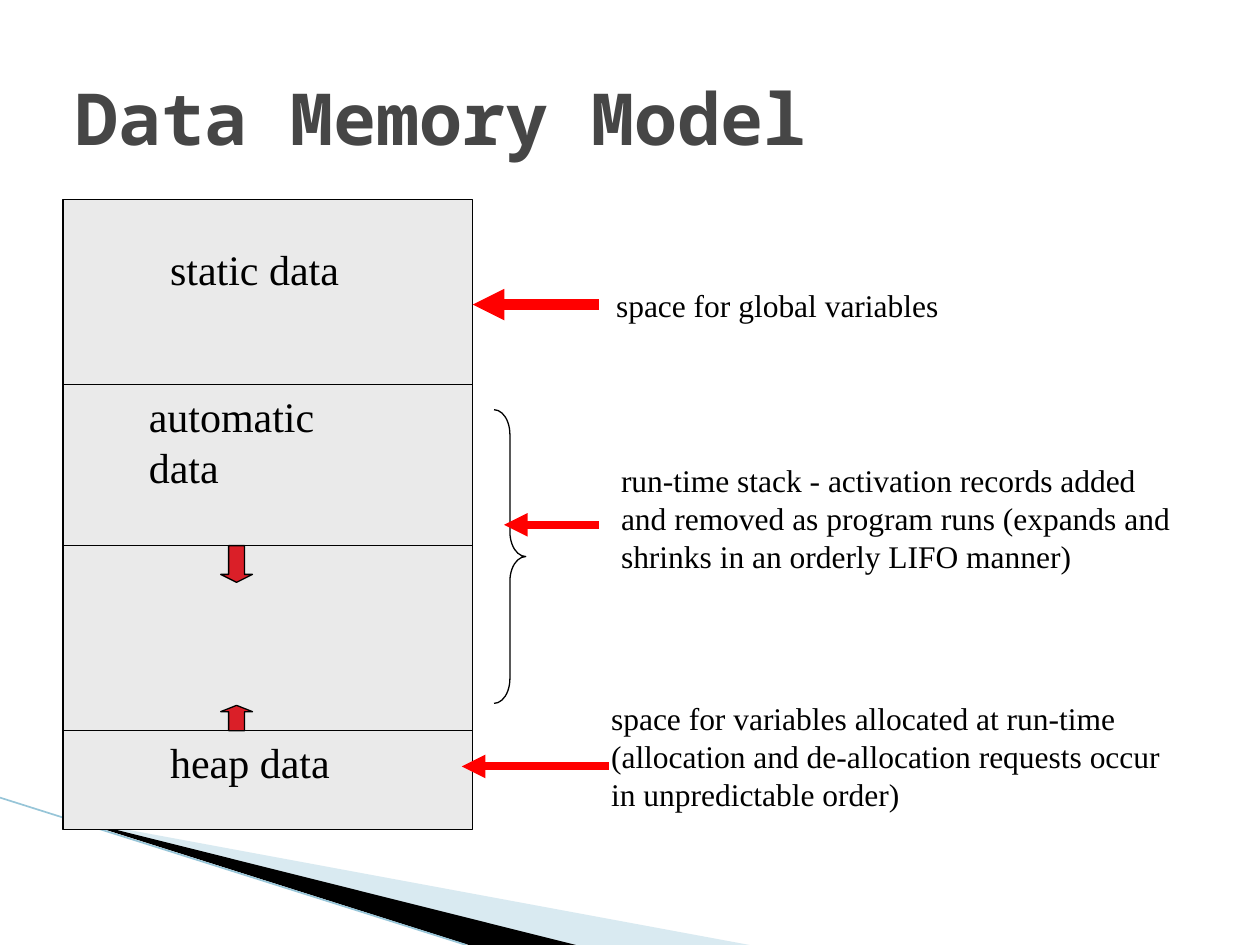
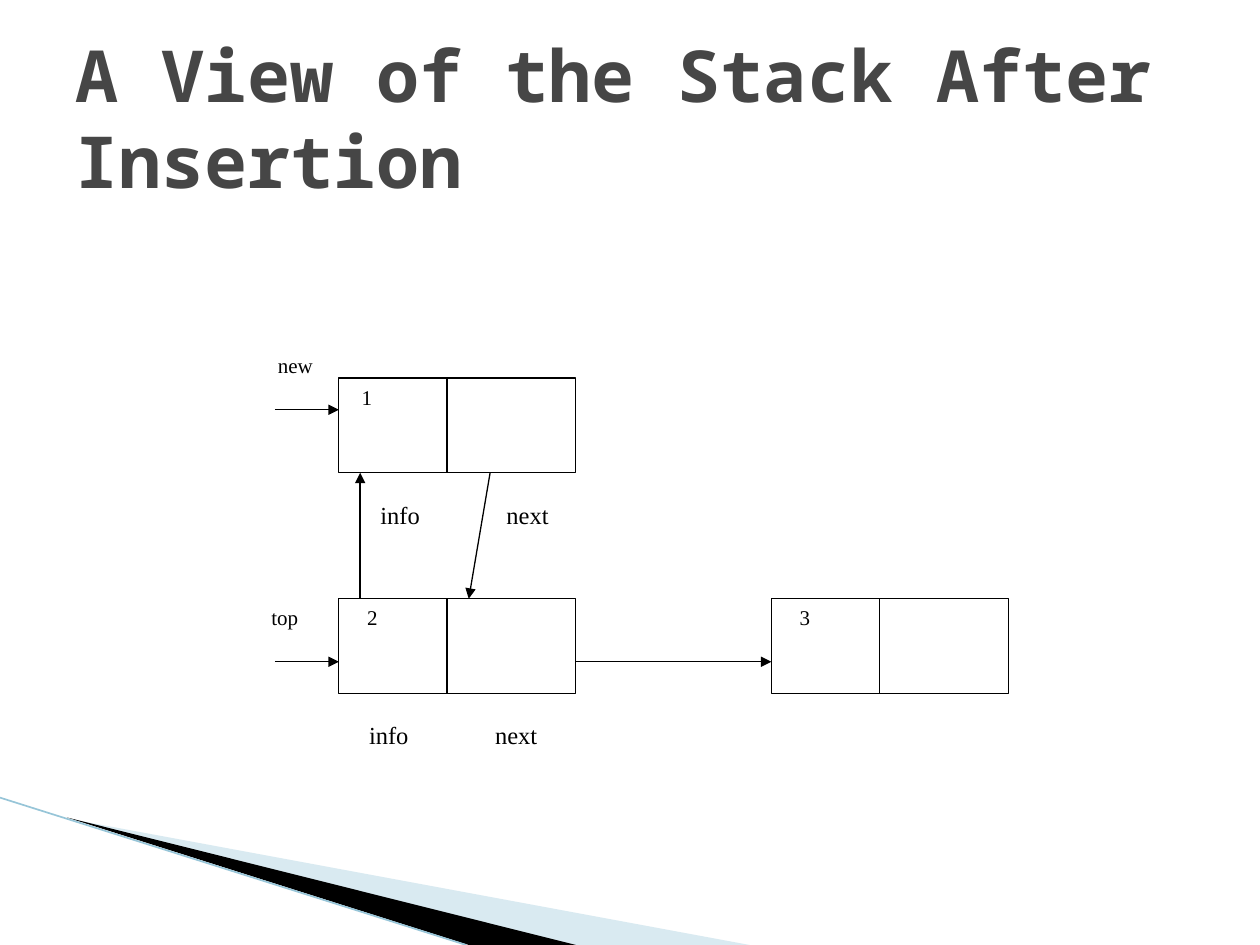
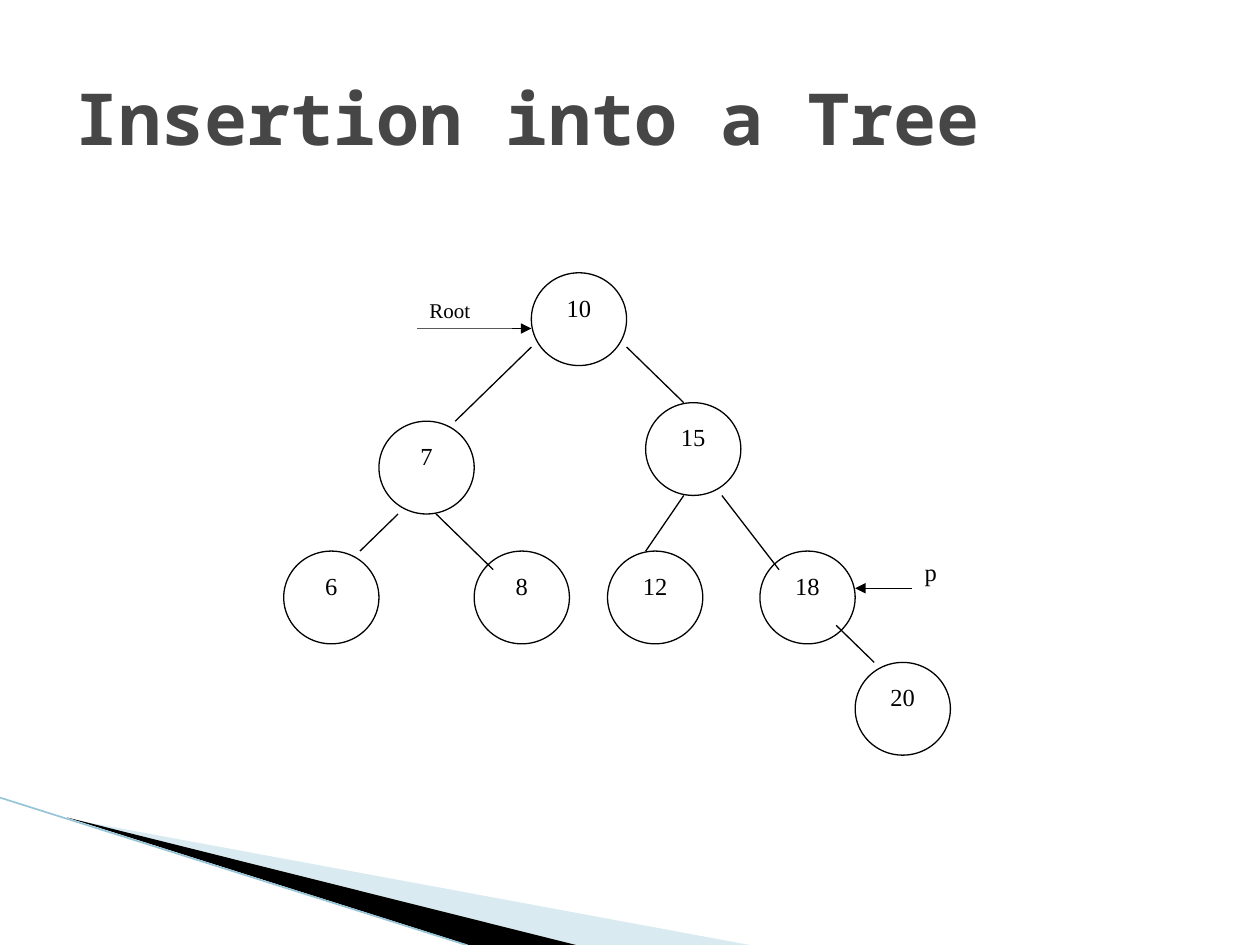
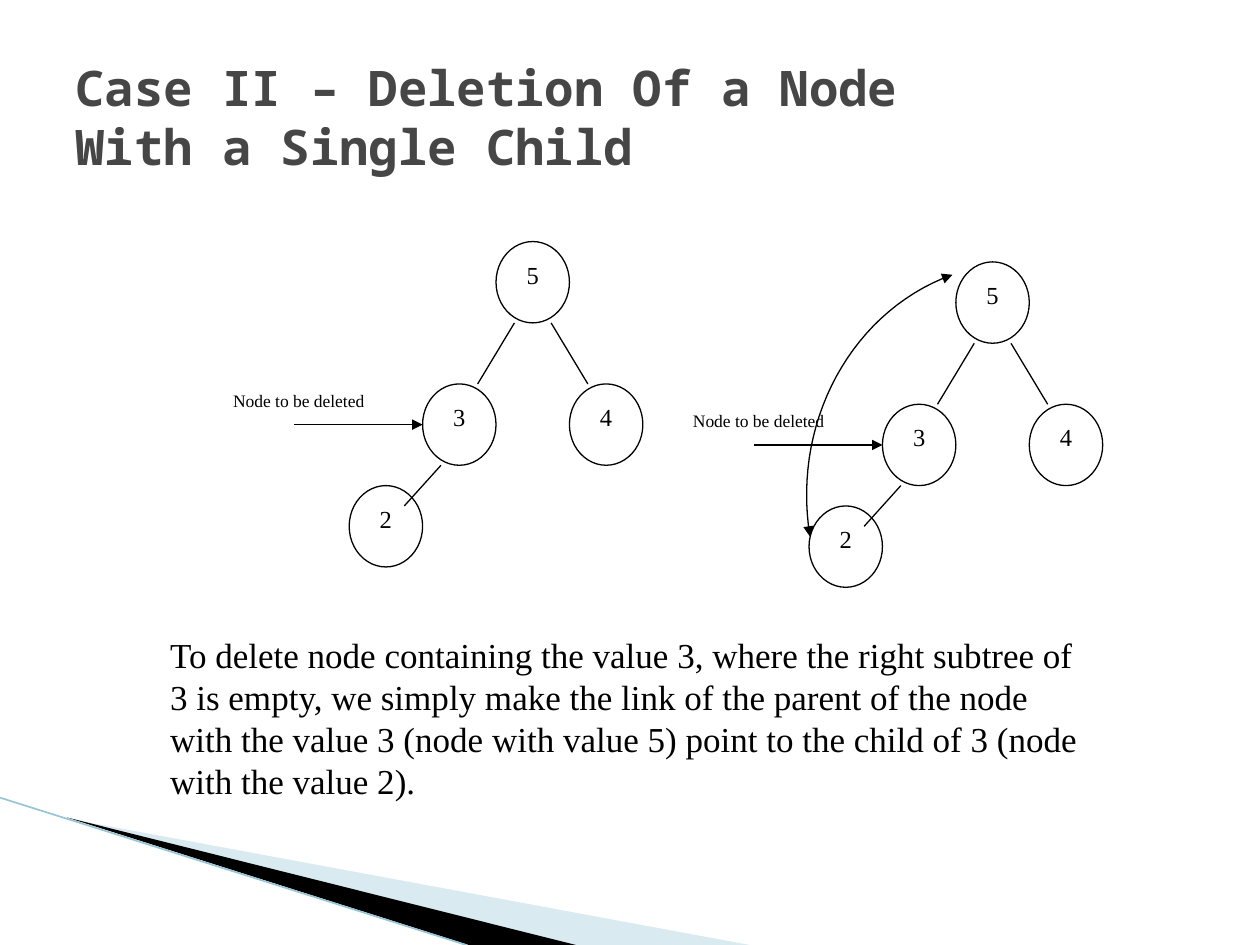
"""Build four slides on memory layout, linked stacks and binary search trees."""
from lxml.etree import SubElement
from pptx import Presentation
from pptx.dml.color import RGBColor
from pptx.enum.shapes import MSO_CONNECTOR, MSO_SHAPE
from pptx.enum.text import MSO_ANCHOR, PP_ALIGN
from pptx.oxml.ns import qn
from pptx.util import Cm, Pt

BLACK = RGBColor(0x00, 0x00, 0x00)
WHITE = RGBColor(0xFF, 0xFF, 0xFF)
TITLE_GREY = RGBColor(0x46, 0x46, 0x46)
MEMORY_GREY = RGBColor(0xEA, 0xEA, 0xEA)
GROWTH_RED = RGBColor(0xDA, 0x1F, 0x28)
POINTER_RED = RGBColor(0xFF, 0x00, 0x00)
WEDGE_BLUE = RGBColor(0xA0, 0xCB, 0xDC)
EDGE_BLUE = RGBColor(0x97, 0xC5, 0xD8)
TITLE_FONT = "Noto Sans Mono"
BODY_FONT = "Times New Roman"


def add_block(slide, kind, x, y, width, height, text="", size=14, fill=None,
              outline=None, align=PP_ALIGN.LEFT, indent=0.25):
    """Add a preset shape, or a text box when kind is None."""
    place = Cm(x), Cm(y), Cm(width), Cm(height)
    if kind is None:
        block = slide.shapes.add_textbox(*place)
    else:
        block = slide.shapes.add_shape(kind, *place)
        block.shadow.inherit = False
        if fill is None:
            block.fill.background()
        else:
            block.fill.solid()
            block.fill.fore_color.rgb = fill
        if outline is None:
            block.line.fill.background()
        else:
            block.line.color.rgb = outline
            block.line.width = Pt(0.75)
    if text:
        frame = block.text_frame
        frame.word_wrap = True
        frame.vertical_anchor = MSO_ANCHOR.TOP
        frame.margin_left = Cm(indent)
        frame.text = text
        paragraph = frame.paragraphs[0]
        paragraph.alignment = align
        paragraph.font.name = BODY_FONT
        paragraph.font.size = Pt(size)
        paragraph.font.color.rgb = BLACK
    return block


def add_line(slide, x1, y1, x2, y2, arrow=False, colour=BLACK, width=0.75):
    """Add a straight line, with an arrowhead at its end if asked."""
    line = slide.shapes.add_connector(MSO_CONNECTOR.STRAIGHT, Cm(x1), Cm(y1), Cm(x2), Cm(y2))
    line.line.color.rgb = colour
    line.line.width = Pt(width)
    properties = line.element.spPr
    if arrow:
        SubElement(properties.find(qn("a:ln")), qn("a:tailEnd"), type="triangle")
    SubElement(properties, qn("a:effectLst"))


deck = Presentation()
deck.slide_width, deck.slide_height = Cm(25.4), Cm(19.05)

titles = [
    ("Data Memory Model", 41),
    ("A View of the Stack After Insertion", 41),
    ("Insertion into a Tree", 41),
    ("Case II – Deletion Of a Node \vWith a Single Child", 28),
]
wedges = [
    (WEDGE_BLUE, 40, [(1.4, 16.51), (15.11, 19.05), (11.58, 19.05)]),
    (BLACK, 100, [(1.35, 16.48), (11.61, 19.05), (9.45, 19.05)]),
]
for title, size in titles:
    slide = deck.slides.add_slide(deck.slide_layouts[6])
    for colour, opacity, corners in wedges:
        points = [(Cm(x), Cm(y)) for x, y in corners]
        builder = slide.shapes.build_freeform(*points[0])
        builder.add_line_segments(points[1:])
        wedge = builder.convert_to_shape()
        wedge.shadow.inherit = False
        wedge.line.fill.background()
        wedge.fill.solid()
        wedge.fill.fore_color.rgb = colour
        if opacity < 100:
            tint = wedge.element.spPr.find(qn("a:solidFill"))[0]
            SubElement(tint, qn("a:alpha"), val=str(opacity * 1000))
    add_line(slide, 0, 16.08, 9.4, 19.05, colour=EDGE_BLUE, width=0.95)
    heading = add_block(slide, None, 1.27, 0.76, 22.86, 3.18, title, size)
    heading.text_frame.vertical_anchor = MSO_ANCHOR.MIDDLE
    heading_font = heading.text_frame.paragraphs[0].font
    heading_font.name = TITLE_FONT
    heading_font.bold = True
    heading_font.color.rgb = TITLE_GREY

memory, stack, insertion, deletion = deck.slides

add_block(memory, MSO_SHAPE.RECTANGLE, 1.27, 4.02, 8.26, 12.7, fill=MEMORY_GREY, outline=BLACK)
for text, x, y, width in [
    ("static data", 3.18, 4.78, 4.2),
    ("automatic data", 2.75, 7.75, 5.2),
    ("heap data", 3.18, 14.73, 4.2),
]:
    add_block(memory, None, x, y, width, 1.27, text, 24)
for y in (7.75, 11.0, 14.73):
    add_line(memory, 1.27, y, 9.53, y)
for kind, y, height in [(MSO_SHAPE.DOWN_ARROW, 11.0, 0.74), (MSO_SHAPE.UP_ARROW, 14.22, 0.51)]:
    growth = add_block(memory, kind, 4.45, y, 0.64, height, fill=GROWTH_RED, outline=BLACK)
    growth.adjustments[0], growth.adjustments[1] = 0.5, 0.25
for text, x, y, height in [
    ("run-time stack - activation records added and removed as program runs "
     "(expands and shrinks in an orderly LIFO manner)", 12.27, 9.17, 2.54),
    ("space for global variables", 12.17, 5.64, 1.02),
    ("space for variables allocated at run-time (allocation and de-allocation "
     "requests occur in unpredictable order)", 12.07, 13.97, 2.54),
]:
    add_block(memory, None, x, y, 11.86, height, text, 18)
brace = add_block(memory, MSO_SHAPE.RIGHT_BRACE, 9.96, 8.26, 0.64, 5.92, outline=BLACK)
brace.adjustments[0], brace.adjustments[1] = 0.778, 0.5
for x1, x2, y, width in [(12.07, 9.53, 6.14, 6), (12.07, 10.16, 10.58, 4.5), (12.27, 9.31, 15.45, 4.5)]:
    add_line(memory, x1, y, x2, y, True, POINTER_RED, width)

for text, x, y, width in [("new", 5.08, 6.99, 1.75), ("top", 4.65, 12.07, 2.18)]:
    add_block(stack, MSO_SHAPE.RECTANGLE, x, y, width, 1.91, text, 12, WHITE,
              align=PP_ALIGN.CENTER)
for value, x, y, indent in [("1", 6.83, 7.62, 0.46), ("2", 6.83, 12.07, 0.57), ("3", 15.55, 12.07, 0.57)]:
    add_block(stack, MSO_SHAPE.RECTANGLE, x, y, 4.78, 1.91, value, 12, WHITE, BLACK, indent=indent)
    add_line(stack, x + 2.18, y, x + 2.18, y + 1.91)
for x1, y1, x2, y2 in [
    (5.54, 8.26, 6.83, 8.26),
    (5.54, 13.34, 6.83, 13.34),
    (11.61, 13.34, 15.55, 13.34),
    (9.88, 9.53, 9.45, 12.07),
    (7.26, 12.07, 7.26, 9.53),
]:
    add_line(stack, x1, y1, x2, y2, True)
for x, y in [(7.42, 9.96), (7.19, 14.4)]:
    for offset, field in [(0, "info"), (2.54, "next")]:
        add_block(stack, None, x + offset, y, 1.7, 0.84, field)

left, top, column, row = 5.72, 5.5, 0.384, 0.374
for value, x, y in [
    (10, 13, 0), (15, 19, 7), (7, 5, 8), (6, 0, 15),
    (8, 10, 15), (12, 17, 15), (18, 25, 15), (20, 30, 21),
]:
    add_block(insertion, MSO_SHAPE.OVAL, left + x * column, top + y * row, 5 * column, 5 * row,
              str(value), 14, WHITE, BLACK, PP_ALIGN.CENTER)
for x1, y1, x2, y2, arrow in [
    (18, 4, 21, 7, False), (13, 4, 9, 8, False), (21, 12, 19, 15, False),
    (6, 13, 4, 15, False), (8, 13, 11, 16, False), (23, 12, 26, 16, False),
    (29, 19, 31, 21, False), (7, 3, 13, 3, True), (33, 17, 30, 17, True),
]:
    add_line(insertion, left + x1 * column, top + y1 * row, left + x2 * column, top + y2 * row, arrow)
for text, x, y, rows, size in [("Root", 7, 1, 2, 12), ("p", 33, 15, 3, 14)]:
    add_block(insertion, MSO_SHAPE.RECTANGLE, left + x * column, top + y * row,
              5 * column, rows * row, text, size, WHITE)

column, row = 0.37, 0.41
for left, top in [(4.45, 4.87), (13.72, 5.28)]:
    add_block(deletion, MSO_SHAPE.RECTANGLE, left, top + 7 * row, 12 * column, 2 * row,
              "Node to be deleted", 10, WHITE)
    for value, x, y in [(5, 15, 0), (4, 19, 7), (3, 11, 7), (2, 7, 12)]:
        add_block(deletion, MSO_SHAPE.OVAL, left + x * column, top + y * row, 4 * column, 4 * row,
                  str(value), 14, WHITE, BLACK, PP_ALIGN.CENTER)
    for x1, y1, x2, y2, arrow in [
        (16, 4, 14, 7, False), (18, 4, 20, 7, False), (12, 11, 10, 13, False), (4, 9, 11, 9, True),
    ]:
        add_line(deletion, left + x1 * column, top + y1 * row, left + x2 * column, top + y2 * row, arrow)

controls = [(16.33, 10.82), (15.95, 8.51), (17.17, 6.27), (19.2, 5.54)]
steps = 30
curve = []
for step in range(steps + 1):
    t = step / steps
    weights = (1 - t) ** 3, 3 * t * (1 - t) ** 2, 3 * t ** 2 * (1 - t), t ** 3
    curve.append(tuple(Cm(sum(w * point[axis] for w, point in zip(weights, controls)))
                       for axis in (0, 1)))
builder = deletion.shapes.build_freeform(*curve[0])
builder.add_line_segments(curve[1:], close=False)
new_link = builder.convert_to_shape()
new_link.shadow.inherit = False
new_link.fill.background()
new_link.line.color.rgb = BLACK
new_link.line.width = Pt(0.75)
for end in ("a:headEnd", "a:tailEnd"):
    SubElement(new_link.element.spPr.find(qn("a:ln")), qn(end), type="triangle")

add_block(deletion, None, 3.18, 12.65, 19.05, 3.63,
          "To delete node containing the value 3, where the right subtree of 3 is empty, "
          "we simply make the link of the parent of the node with the value 3 (node with "
          "value 5) point to the child of 3 (node with the value 2).", 20)

deck.save("out.pptx")
